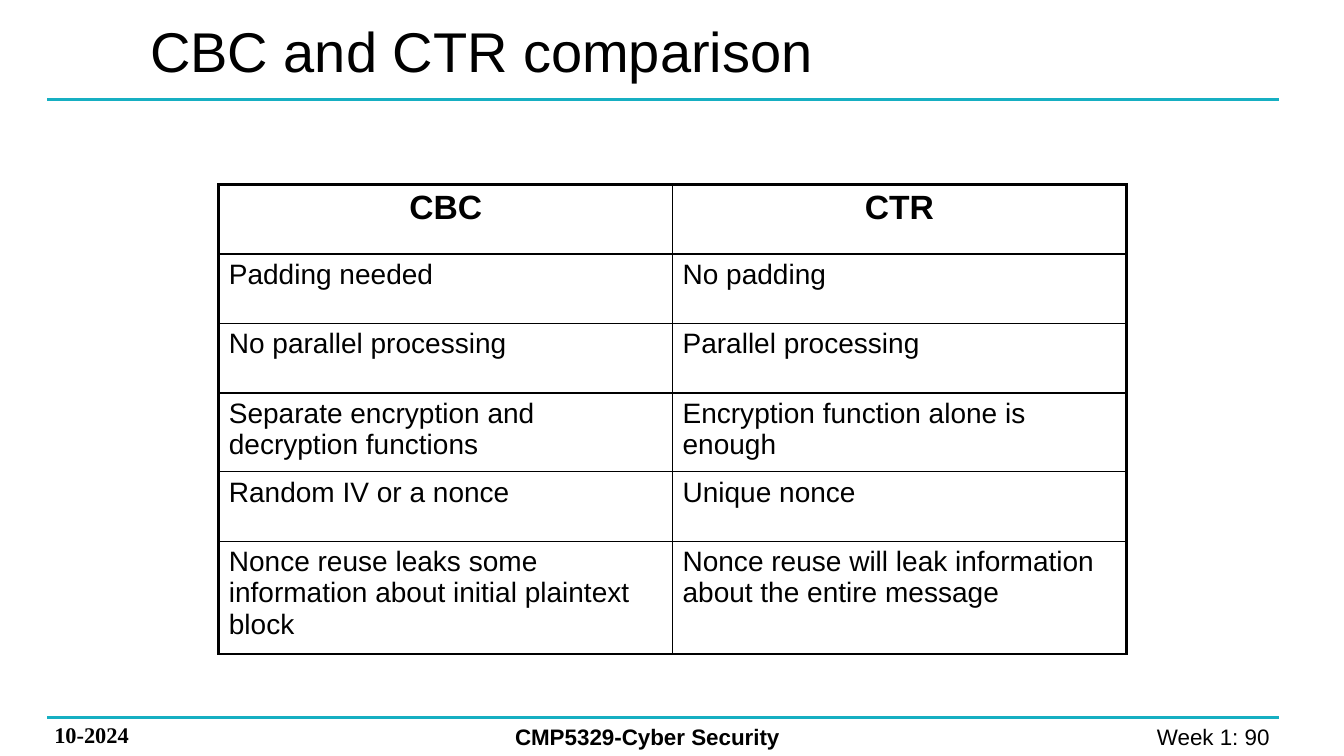
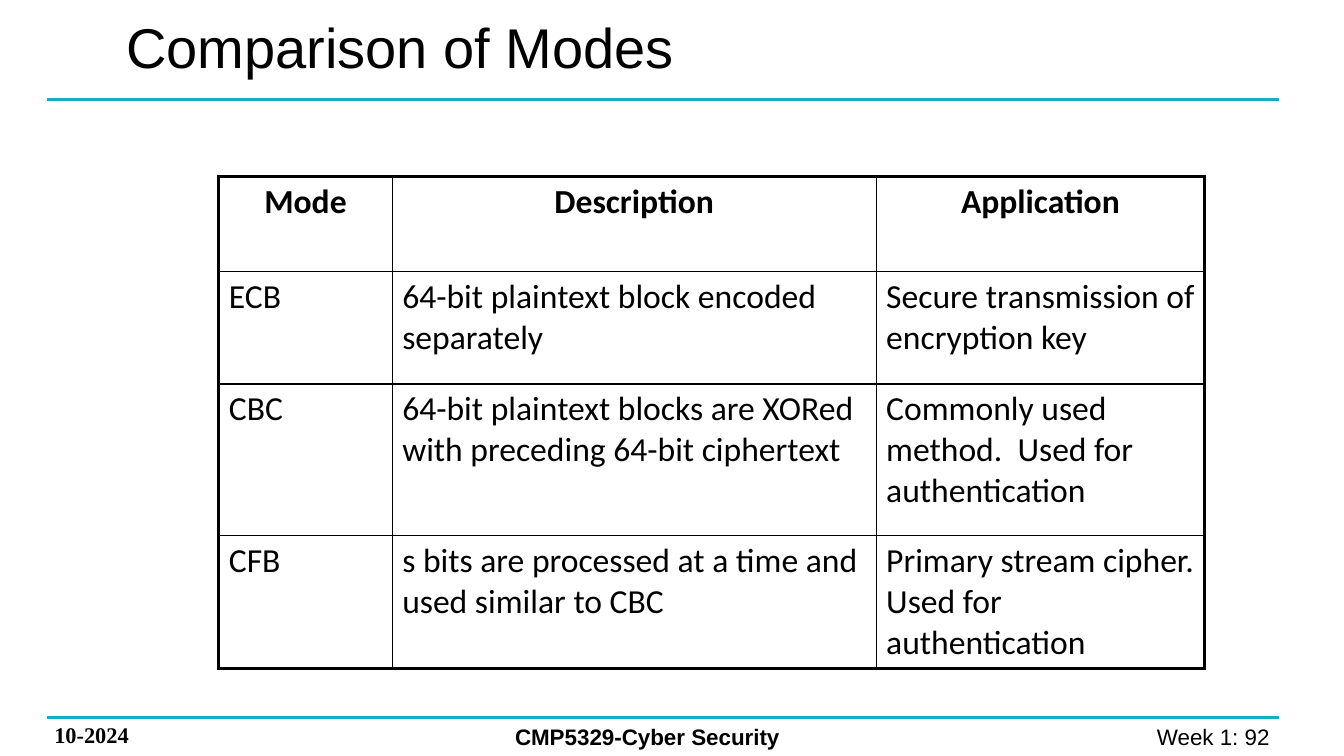
"""Build two slides that compare block cipher modes in tables."""
from lxml.etree import SubElement
from pptx import Presentation
from pptx.dml.color import RGBColor
from pptx.enum.text import MSO_ANCHOR, MSO_AUTO_SIZE, PP_ALIGN
from pptx.oxml.ns import qn
from pptx.util import Inches, Pt

COLORS = {"text": "000000", "border": "000000", "rule": "16AFC2", "cell": "FFFFFF"}
RULE_LEFT, RULE_RIGHT = 0.47, 12.69
RULE_TOPS = (0.99, 7.12)
RULE_WIDTH = 2.25
OUTER_WIDTH, INNER_WIDTH = 2.25, 1
TITLE_FORMAT = {"name": "Arial", "size": Pt(40), "bold": False}

FOOTERS = [
    ("10-2024", (0.44, 7.11, 1.78, 0.37), PP_ALIGN.LEFT,
     {"name": "Times New Roman", "size": Pt(16), "bold": True}),
    ("CMP5329-Cyber Security", (5.01, 7.12, 4.09, 0.37), PP_ALIGN.LEFT,
     {"name": "Arial", "size": Pt(16), "bold": True}),
    ("Week 1: {number}", (9.82, 7.12, 2.87, 0.37), PP_ALIGN.RIGHT,
     {"name": "Arial", "size": Pt(16), "bold": False}),
]

SLIDES = [
    {
        "title": "CBC and CTR comparison",
        "title_box": (1.39, -0.11, 9, 1.21),
        "number": 90,
        "origin": (2.17, 1.83),
        "columns": [4.5, 4.5],
        "heights": [0.69, 0.69, 0.69, 0.78, 0.69, 1.12],
        "font": "Arial",
        "body_size": 20,
        "rows": [
            ("CBC", "CTR"),
            ("Padding needed", "No padding"),
            ("No parallel processing", "Parallel processing"),
            ("Separate encryption and decryption functions",
             "Encryption function alone is enough"),
            ("Random IV or a nonce", "Unique nonce"),
            ("Nonce reuse leaks some information about initial plaintext block",
             "Nonce reuse will leak information about the entire message"),
        ],
    },
    {
        "title": "Comparison of Modes",
        "title_box": (1.15, 0, 9, 0.92),
        "number": 92,
        "origin": (2.17, 1.75),
        "columns": [1.72, 4.8, 3.26],
        "heights": [0.94, 1.12, 1.5, 1.32],
        "font": "Calibri",
        "body_size": 24,
        "rows": [
            ("Mode", "Description", "Application"),
            ("ECB", "64-bit plaintext block encoded separately",
             "Secure transmission of encryption key"),
            ("CBC", "64-bit plaintext blocks are XORed with preceding 64-bit ciphertext",
             "Commonly used method.  Used for authentication"),
            ("CFB", "s bits are processed at a time and used similar to CBC",
             "Primary stream cipher. Used for authentication"),
        ],
    },
]


def color(name):
    return RGBColor.from_string(COLORS[name])


def write_text(text_frame, text, alignment, font_format):
    paragraph = text_frame.paragraphs[0]
    paragraph.alignment = alignment
    run = paragraph.add_run()
    run.text = text
    for attribute, value in font_format.items():
        setattr(run.font, attribute, value)
    run.font.color.rgb = color("text")


def add_title(slide, text, box):
    title = slide.shapes.title
    title.left, title.top, title.width, title.height = map(Inches, box)
    title.text_frame.auto_size = MSO_AUTO_SIZE.NONE
    title.text_frame.vertical_anchor = MSO_ANCHOR.MIDDLE
    write_text(title.text_frame, text, PP_ALIGN.LEFT, TITLE_FORMAT)


def add_frame(slide, number):
    for top in RULE_TOPS:
        rule = slide.shapes.add_connector(
            1, Inches(RULE_LEFT), Inches(top), Inches(RULE_RIGHT), Inches(top))
        rule.line.color.rgb = color("rule")
        rule.line.width = Pt(RULE_WIDTH)
        SubElement(rule._element.spPr, qn("a:effectLst"))
    for text, box, alignment, font_format in FOOTERS:
        text_frame = slide.shapes.add_textbox(*map(Inches, box)).text_frame
        text_frame.word_wrap = True
        text_frame.auto_size = MSO_AUTO_SIZE.SHAPE_TO_FIT_TEXT
        write_text(text_frame, text.format(number=number), alignment, font_format)


def set_borders(cell, outer_sides):
    properties = cell._tc.get_or_add_tcPr()
    for index, (side, is_outer) in enumerate(outer_sides.items()):
        width = OUTER_WIDTH if is_outer else INNER_WIDTH
        border = SubElement(properties, qn(f"a:ln{side}"), w=str(Pt(width)))
        fill = SubElement(border, qn("a:solidFill"))
        SubElement(fill, qn("a:srgbClr"), val=COLORS["border"])
        properties.insert(index, border)


def add_comparison_table(slide, content):
    rows, columns, heights = content["rows"], content["columns"], content["heights"]
    size = (sum(columns), sum(heights))
    table = slide.shapes.add_table(
        len(rows), len(columns), *map(Inches, content["origin"] + size)).table
    table.first_row = table.horz_banding = False
    for column, width in zip(table.columns, columns):
        column.width = Inches(width)
    for row, height in zip(table.rows, heights):
        row.height = Inches(height)
    for row_index, texts in enumerate(rows):
        is_header = row_index == 0
        font_format = {"name": content["font"], "bold": is_header,
                       "size": Pt(24 if is_header else content["body_size"])}
        alignment = PP_ALIGN.CENTER if is_header else PP_ALIGN.LEFT
        for column_index, text in enumerate(texts):
            cell = table.cell(row_index, column_index)
            cell.fill.solid()
            cell.fill.fore_color.rgb = color("cell")
            write_text(cell.text_frame, text, alignment, font_format)
            set_borders(cell, {
                "L": column_index == 0,
                "R": column_index == len(columns) - 1,
                "T": is_header,
                "B": row_index == len(rows) - 1,
            })


def main():
    presentation = Presentation()
    presentation.slide_width = Inches(13.33)
    presentation.slide_height = Inches(7.5)
    title_only = presentation.slide_layouts.get_by_name("Title Only")
    for content in SLIDES:
        slide = presentation.slides.add_slide(title_only)
        add_frame(slide, content["number"])
        add_title(slide, content["title"], content["title_box"])
        add_comparison_table(slide, content)
    presentation.save("out.pptx")


if __name__ == "__main__":
    main()
